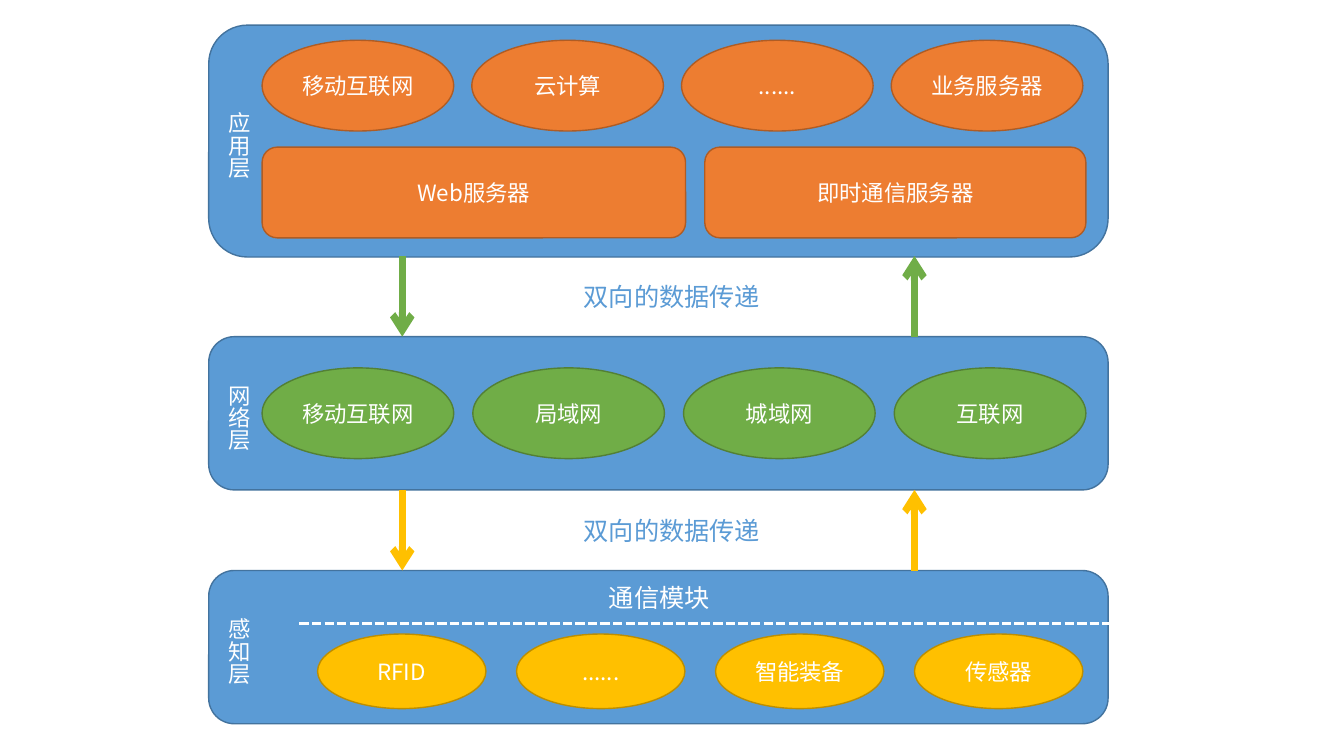
from collections import namedtuple

from lxml import etree
from pptx import Presentation
from pptx import util as u
from pptx.dml.color import RGBColor
from pptx.enum import dml, shapes, text
from pptx.oxml.ns import qn

FONT = "Noto Sans CJK SC"
COLORS = {
    "layer": "5B9BD5", "layer_edge": "43739E",
    "application": "ED7D31", "application_edge": "AF5C24",
    "network": "70AD47", "network_edge": "538035",
    "sensing": "FFC000", "sensing_edge": "BD8E00",
    "white": "FFFFFF",
}
ELLIPSE = shapes.MSO_SHAPE.OVAL
ROUNDED = shapes.MSO_SHAPE.ROUNDED_RECTANGLE
Box = namedtuple("Box", "left top width height")


def color(name):
    return RGBColor.from_string(COLORS[name])


def inches(box):
    return [u.Inches(value) for value in box]


def write(frame, words, size, color_name, align):
    para = frame.paragraphs[0]
    para.text = words
    para.alignment = align
    para.font.size = u.Pt(size)
    para.font.name = FONT
    para.font.color.rgb = color(color_name)
    defaults = para._p.pPr.find(qn("a:defRPr"))
    etree.SubElement(defaults, qn("a:ea")).set("typeface", FONT)


def add_block(page, kind, box, fill, words=None):
    block = page.shapes.add_shape(kind, *inches(box))
    block.shadow.inherit = False
    block.fill.solid()
    block.fill.fore_color.rgb = color(fill)
    block.line.color.rgb = color(fill + "_edge")
    block.line.width = u.Pt(1)
    if words:
        block.text_frame.vertical_anchor = text.MSO_ANCHOR.MIDDLE
        write(block.text_frame, words, 16, "white", text.PP_ALIGN.CENTER)


def add_label(page, box, words, size, color_name, vertical=False):
    frame = page.shapes.add_textbox(*inches(box)).text_frame
    frame.word_wrap = False
    frame.auto_size = text.MSO_AUTO_SIZE.SHAPE_TO_FIT_TEXT
    if vertical:
        frame._txBody.bodyPr.set("vert", "eaVert")
    write(frame, words, size, color_name, text.PP_ALIGN.LEFT)


def add_line(page, start, end, color_name, width):
    line = page.shapes.add_connector(
        shapes.MSO_CONNECTOR.STRAIGHT, *inches(start + end))
    line.line.color.rgb = color(color_name)
    line.line.width = u.Pt(width)
    etree.SubElement(line._element.spPr, qn("a:effectLst"))
    return line


def add_arrow(page, start, end, color_name):
    arrow = add_line(page, start, end, color_name, 5)
    tail = etree.SubElement(arrow.line._get_or_add_ln(), qn("a:tailEnd"))
    tail.set("type", "arrow")


def add_ellipses(page, row, width, fill, names):
    pitch = (row.width - width) / (len(names) - 1)
    for index, name in enumerate(names):
        box = Box(row.left + index * pitch, row.top, width, row.height)
        add_block(page, ELLIPSE, box, fill, name)


def add_layer(page, box, name):
    add_block(page, ROUNDED, box, "layer")
    label = Box(box.left + 0.01, box.top + (box.height - 0.77) / 2, 0.47, 0.77)
    add_label(page, label, name, 16, "white", vertical=True)


def application_layer(page, box):
    add_layer(page, box, "应用层")
    left = box.left + 0.53
    add_ellipses(page, Box(left, box.top + 0.15, 8.14, 0.9), 1.9, "application",
                 ["移动互联网", "云计算", "......", "业务服务器"])
    for offset, width, name in [(0, 4.2, "Web服务器"), (4.39, 3.78, "即时通信服务器")]:
        server = Box(left + offset, box.top + 1.21, width, 0.9)
        add_block(page, ROUNDED, server, "application", name)


def network_layer(page, box):
    add_layer(page, box, "网络层")
    add_ellipses(page, Box(box.left + 0.53, box.top + 0.31, 8.17, 0.9), 1.9,
                 "network", ["移动互联网", "局域网", "城域网", "互联网"])


def sensing_layer(page, box):
    add_layer(page, box, "感知层")
    add_ellipses(page, Box(box.left + 1.08, box.top + 0.63, 7.59, 0.74), 1.67,
                 "sensing", ["RFID", "......", "智能装备", "传感器"])
    divider_y = box.top + 0.53
    divider = add_line(page, (box.left + 0.9, divider_y),
                       (box.left + 8.94, divider_y), "white", 2.25)
    divider.line.dash_style = dml.MSO_LINE.SQUARE_DOT
    etree.strip_elements
    divider.line._get_or_add_ln().find(qn("a:prstDash")).set("val", "sysDash")
    add_label(page, Box(box.left + 3.87, box.top + 0.07, 1.2, 0.4),
              "通信模块", 18, "white")


def data_exchange(page, box, color_name):
    down, up = box.left + 1.92, box.left + 7
    bottom = box.top + box.height
    add_arrow(page, (down, box.top), (down, bottom), color_name)
    add_arrow(page, (up, bottom), (up, box.top), color_name)
    add_label(page, Box(box.left + 3.62, box.top + 0.2, 1.95, 0.4),
              "双向的数据传递", 18, "layer")


def main():
    deck = Presentation()
    deck.slide_width, deck.slide_height = u.Inches(13.33), u.Inches(7.5)
    page = deck.slides.add_slide(deck.slide_layouts[6])
    left, width = 2.07, 8.92
    sensing_layer(page, Box(left, 5.66, width, 1.52))
    network_layer(page, Box(left, 3.34, width, 1.52))
    application_layer(page, Box(left, 0.25, width, 2.3))
    data_exchange(page, Box(left, 4.86, width, 0.8), "sensing")
    data_exchange(page, Box(left, 2.54, width, 0.8), "network")
    deck.save("out.pptx")


main()
